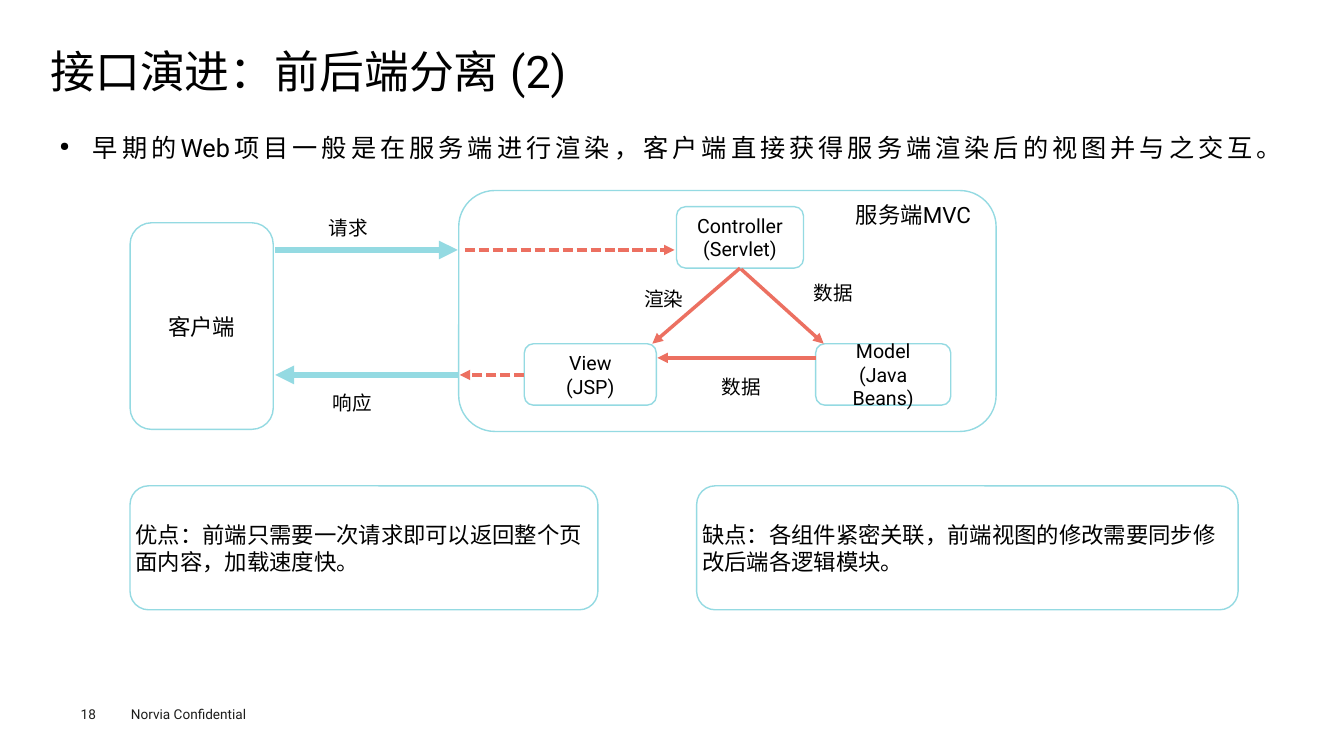
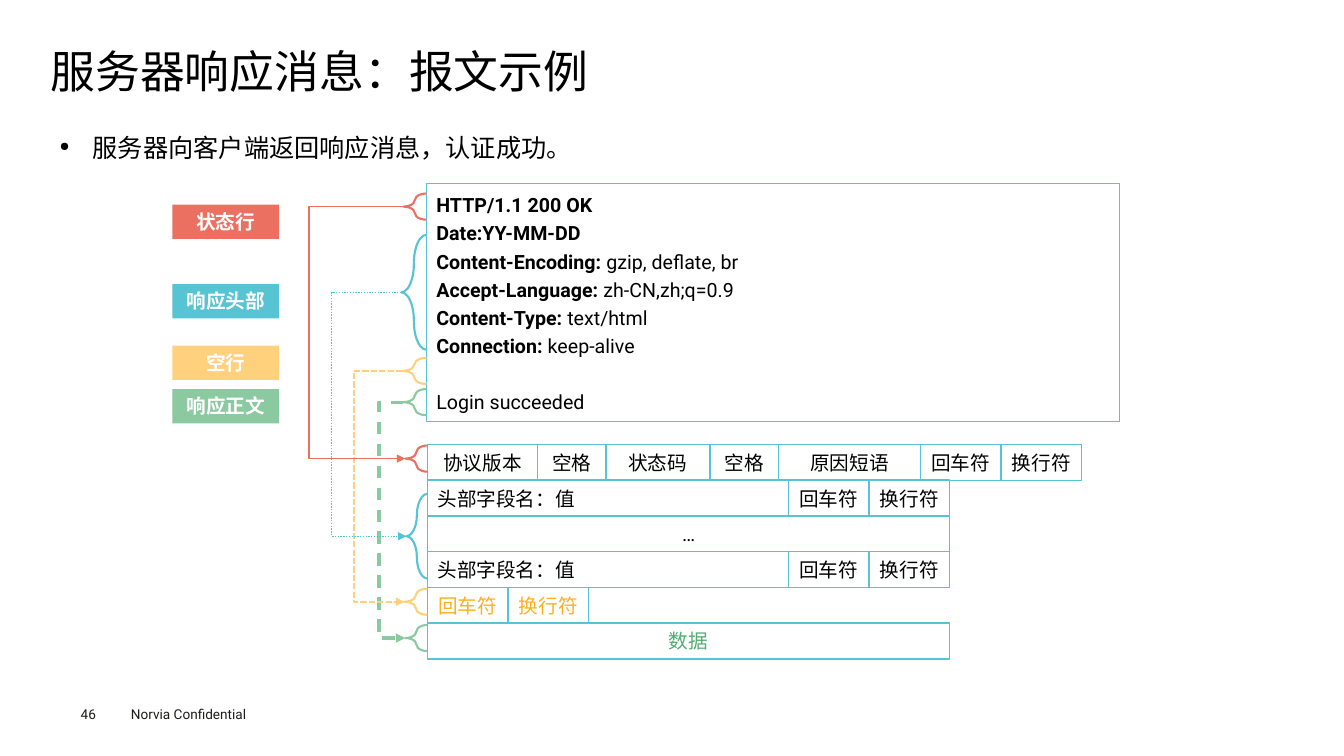
from dataclasses import dataclass

import pptx
import pptx.dml.color
import pptx.enum.dml
import pptx.enum.shapes
import pptx.enum.text
import pptx.oxml
import pptx.oxml.ns
import pptx.util

ALIGN = pptx.enum.text.PP_ALIGN
ANCHOR = pptx.enum.text.MSO_ANCHOR
DASH = pptx.enum.dml.MSO_LINE
SHAPE = pptx.enum.shapes.MSO_SHAPE
CONNECTOR = pptx.enum.shapes.MSO_CONNECTOR
inch = pptx.util.Inches


@dataclass(frozen=True)
class Theme:
    font: str = "Roboto"
    ink: str = "000000"
    footer_ink: str = "1D1D1B"
    paper: str = "FFFFFF"
    sky: str = "94DAE2"
    teal: str = "56C4D2"
    coral: str = "EC7061"
    amber: str = "FFD17D"
    amber_ink: str = "FFAF1E"
    green: str = "8BC9A0"
    green_ink: str = "51AE71"
    title: float = 32
    body: float = 18
    box: float = 16
    label: float = 14
    footer: float = 9.7


T = Theme()
WIDTH, HEIGHT = 13.33, 7.5
MARGIN, CONTENT_WIDTH = 0.5, 12.35
INSETS = (0.1, 0.05)
FOOTER = "Norvia Confidential"

MVC = {
    "page": "18",
    "title": "接口演进：前后端分离 (2)",
    "bullet": "早期的Web项目一般是在服务端进行渲染，客户端直接获得服务端渲染后的视图并与之交互。\n",
    "boxes": [
        ((4.55, 1.89, 5.33, 2.39), [], T.box),
        ((1.29, 2.21, 1.42, 2.05), ["客户端"], T.box),
        ((6.71, 2.05, 1.26, 0.61), ["Controller", "(Servlet)"], T.label),
        ((8.09, 3.41, 1.34, 0.61), ["Model", "(Java Beans)"], T.label),
        ((5.2, 3.41, 1.31, 0.61), ["View", "(JSP)"], T.label),
    ],
    "labels": [
        ((3.16, 2.09, 1.79, 0.34), "请求", T.label),
        ((3.2, 3.83, 1.79, 0.34), "响应", T.label),
        ((8.39, 1.95, 1.79, 0.37), "服务端MVC", T.box),
        ((7.97, 2.74, 0.9, 0.34), "数据", T.label),
        ((7.06, 3.67, 0.9, 0.34), "数据", T.label),
        ((6.29, 2.8, 0.9, 0.34), "渲染", T.label),
    ],
    "arrows": [
        ((2.73, 2.48), (4.54, 2.48), T.sky, 4.5, None),
        ((4.55, 3.72), (2.73, 3.72), T.sky, 4.5, None),
        ((7.34, 2.66), (6.47, 3.41), T.coral, 2.5, None),
        ((7.35, 2.67), (8.17, 3.41), T.coral, 2.5, None),
        ((8.09, 3.55), (6.52, 3.55), T.coral, 2.5, None),
        ((4.61, 2.48), (6.69, 2.48), T.coral, 2.5, DASH.SQUARE_DOT),
        ((5.2, 3.72), (4.56, 3.72), T.coral, 2.5, DASH.SQUARE_DOT),
    ],
    "verdicts": [
        ((1.29, 4.82, 4.64, 1.23), "优点：前端只需要一次请求即可以返回整个页面内容，加载速度快。"),
        ((6.91, 4.82, 5.37, 1.23), "缺点：各组件紧密关联，前端视图的修改需要同步修改后端各逻辑模块。"),
    ],
}

LINE_END = [("回车符", 0.8), ("换行符", 0.8)]
HEADER_FIELD = [("头部字段名：值", 3.58)] + LINE_END

RESPONSE = {
    "page": "46",
    "title": "服务器响应消息：报文示例",
    "bullet": "服务器向客户端返回响应消息，认证成功。",
    "message": [
        ("HTTP/1.1 200 OK", ""),
        ("Date:YY-MM-DD", ""),
        ("Content-Encoding: ", "gzip, deflate, br"),
        ("Accept-Language: ", "zh-CN,zh;q=0.9"),
        ("Content-Type: ", "text/html"),
        ("Connection: ", "keep-alive"),
        ("", "Login succeeded"),
    ],
    "rows": [
        ([("协议版本", 1.09), ("空格", 0.68), ("状态码", 1.03), ("空格", 0.68),
          ("原因短语", 1.41)] + LINE_END, T.ink),
        (HEADER_FIELD, T.ink),
        ([("…", 5.18)], T.ink),
        (HEADER_FIELD, T.ink),
        (LINE_END, T.amber_ink),
        ([("数据", 5.18)], T.green_ink),
    ],
    "sections": [
        ("响应正文", 3.86, T.green, (4, 3.86, 0.26), (4.02, 6.2, 0.26), 3.76, 2.25, DASH.DASH),
        ("空行", 3.43, T.amber, (3.99, 3.55, 0.26), (4.01, 5.84, 0.26), 3.51, 1.5, DASH.SQUARE_DOT),
        ("响应头部", 2.82, T.teal, (3.98, 2.33, 1.14), (4.03, 4.9, 0.84), 3.29, 1, DASH.ROUND_DOT),
        ("状态行", 2.03, T.coral, (4, 1.92, 0.26), (4.02, 4.42, 0.26), 3.07, 1, None),
    ],
}
GRID_LEFT, GRID_TOP, GRID_BOTTOM, CELL_HEIGHT = 4.24, 4.41, 6.54, 0.36
MESSAGE_BOX = (4.23, 1.82, 6.87, 2.36)
LEGEND_LEFT, LEGEND_WIDTH, LEGEND_HEIGHT = 1.71, 1.06, 0.34


def rgb(color):
    return pptx.dml.color.RGBColor.from_string(color)


def element(parent, tag, **attributes):
    child = pptx.oxml.ns.qn("a:" + tag)
    node = parent.makeelement(child, attributes)
    parent.append(node)
    return node


def style_run(run, size, color, bold=False):
    run.font.size = pptx.util.Pt(size)
    run.font.bold = bold
    run.font.color.rgb = rgb(color)
    run.font.name = T.font
    element(run.font._element, "ea", typeface=T.font)


def write(holder, lines, size, color=T.ink, align=ALIGN.LEFT, anchor=ANCHOR.TOP,
          insets=INSETS, spacing=None, bold=False):
    frame = holder.text_frame
    frame.word_wrap = True
    frame.vertical_anchor = anchor
    frame.margin_left = frame.margin_right = inch(insets[0])
    frame.margin_top = frame.margin_bottom = inch(insets[1])
    for index, line in enumerate(lines):
        paragraph = frame.paragraphs[0] if index == 0 else frame.add_paragraph()
        paragraph.alignment = align
        if spacing:
            paragraph.line_spacing = spacing
        parts = [(line, bold)] if isinstance(line, str) else [(line[0], True), (line[1], False)]
        for text, heavy in parts:
            if not text:
                continue
            if paragraph.runs:
                paragraph.add_run().text = text
            else:
                paragraph.text = text
            style_run(paragraph.runs[-1], size, color, heavy)
    return frame


def add_text(slide, place, lines, size, **options):
    return write(slide.shapes.add_textbox(*map(inch, place)), lines, size, **options)


def add_box(slide, kind, place, fill=None, outline=None, weight=1, adjust=()):
    box = slide.shapes.add_shape(kind, *map(inch, place))
    box.shadow.inherit = False
    if fill:
        box.fill.solid()
        box.fill.fore_color.rgb = rgb(fill)
    else:
        box.fill.background()
    if outline:
        box.line.color.rgb = rgb(outline)
        box.line.width = pptx.util.Pt(weight)
    else:
        box.line.fill.background()
    for index, value in enumerate(adjust):
        box.adjustments[index] = value
    return box


def add_arrow(slide, start, end, color, weight, dash, rail=None):
    kind = CONNECTOR.STRAIGHT if rail is None else CONNECTOR.ELBOW
    arrow = slide.shapes.add_connector(kind, *map(inch, start + end))
    arrow.line.color.rgb = rgb(color)
    arrow.line.width = pptx.util.Pt(weight)
    if dash:
        arrow.line.dash_style = dash
    properties = arrow._element.spPr
    element(arrow.line._get_or_add_ln(), "tailEnd", type="triangle")
    element(properties, "effectLst")
    if rail is not None:
        bend = round((rail - start[0]) / (end[0] - start[0]) * 100000)
        guides = properties.find(".//" + pptx.oxml.ns.qn("a:avLst"))
        if guides is None:
            guides = element(properties.find(pptx.oxml.ns.qn("a:prstGeom")), "avLst")
        element(guides, "gd", name="adj1", fmla=f"val {bend}")


def add_page(deck, content):
    slide = deck.slides.add_slide(deck.slide_layouts[6])
    add_text(slide, (1.2, 6.95, 1.6, 0.27), [FOOTER], T.footer, color=T.footer_ink)
    add_text(slide, (0.8, 7, 0.55, 0.16), [content["page"]], T.footer,
             color=T.footer_ink, insets=(0, 0))
    add_text(slide, (MARGIN, 0.49, CONTENT_WIDTH, 0.53), [content["title"]], T.title,
             insets=(0, 0), spacing=0.9)
    frame = add_text(slide, (MARGIN, 1.15, CONTENT_WIDTH, 0.6), [content["bullet"]], T.body,
                     align=ALIGN.JUSTIFY, insets=(0.09, 0.04), spacing=1.4)
    bullet = frame.paragraphs[0]._p.get_or_add_pPr()
    bullet.set("marL", str(inch(0.33)))
    bullet.set("indent", str(inch(-0.33)))
    element(bullet, "buSzPct", val="50000")
    element(bullet, "buChar", char="●")
    return slide


def build_mvc(deck):
    slide = add_page(deck, MVC)
    verdicts = [(place, [text], T.box) for place, text in MVC["verdicts"]]
    for group, align, insets in ((MVC["boxes"], ALIGN.CENTER, INSETS),
                                 (verdicts, ALIGN.LEFT, (0, 0))):
        for place, lines, size in group:
            box = add_box(slide, SHAPE.ROUNDED_RECTANGLE, place, outline=T.sky, adjust=(0.15,))
            write(box, lines, size, align=align, anchor=ANCHOR.MIDDLE, insets=insets)
    for arrow in MVC["arrows"]:
        add_arrow(slide, *arrow)
    for place, text, size in MVC["labels"]:
        add_text(slide, place, [text], size)


def build_response(deck):
    slide = add_page(deck, RESPONSE)
    message = add_box(slide, SHAPE.RECTANGLE, MESSAGE_BOX, outline=T.teal, weight=0.75)
    frame = write(message, RESPONSE["message"], T.label, spacing=1.2)
    frame.paragraphs[-1].space_before = pptx.util.Pt(20)

    rows = RESPONSE["rows"]
    pitch = (GRID_BOTTOM - CELL_HEIGHT - GRID_TOP) / (len(rows) - 1)
    for index, (cells, color) in enumerate(rows):
        left = GRID_LEFT
        for text, width in cells:
            cell = add_box(slide, SHAPE.RECTANGLE,
                           (left, GRID_TOP + index * pitch, width, CELL_HEIGHT),
                           fill=T.paper, outline=T.teal)
            align = ALIGN.LEFT if text == HEADER_FIELD[0][0] else ALIGN.CENTER
            write(cell, [text], T.label, color=color, align=align, anchor=ANCHOR.MIDDLE)
            left += width

    for name, top, color, source, target, rail, weight, dash in RESPONSE["sections"]:
        tag = add_box(slide, SHAPE.RECTANGLE, (LEGEND_LEFT, top, LEGEND_WIDTH, LEGEND_HEIGHT),
                      fill=color)
        write(tag, [name], T.label, color=T.paper, align=ALIGN.CENTER, bold=True)
        tips = []
        for (left, brace_top, height), right in ((source, MESSAGE_BOX[0]), (target, GRID_LEFT)):
            add_box(slide, SHAPE.LEFT_BRACE, (left, brace_top, right - left, height),
                    outline=color, weight=1.5, adjust=(1.12, 0.5))
            tips.append((left, brace_top + height / 2))
        add_arrow(slide, *tips, color, weight, dash, rail)


def main():
    deck = pptx.Presentation()
    deck.slide_width, deck.slide_height = inch(WIDTH), inch(HEIGHT)
    build_mvc(deck)
    build_response(deck)
    deck.save("out.pptx")


if __name__ == "__main__":
    main()
